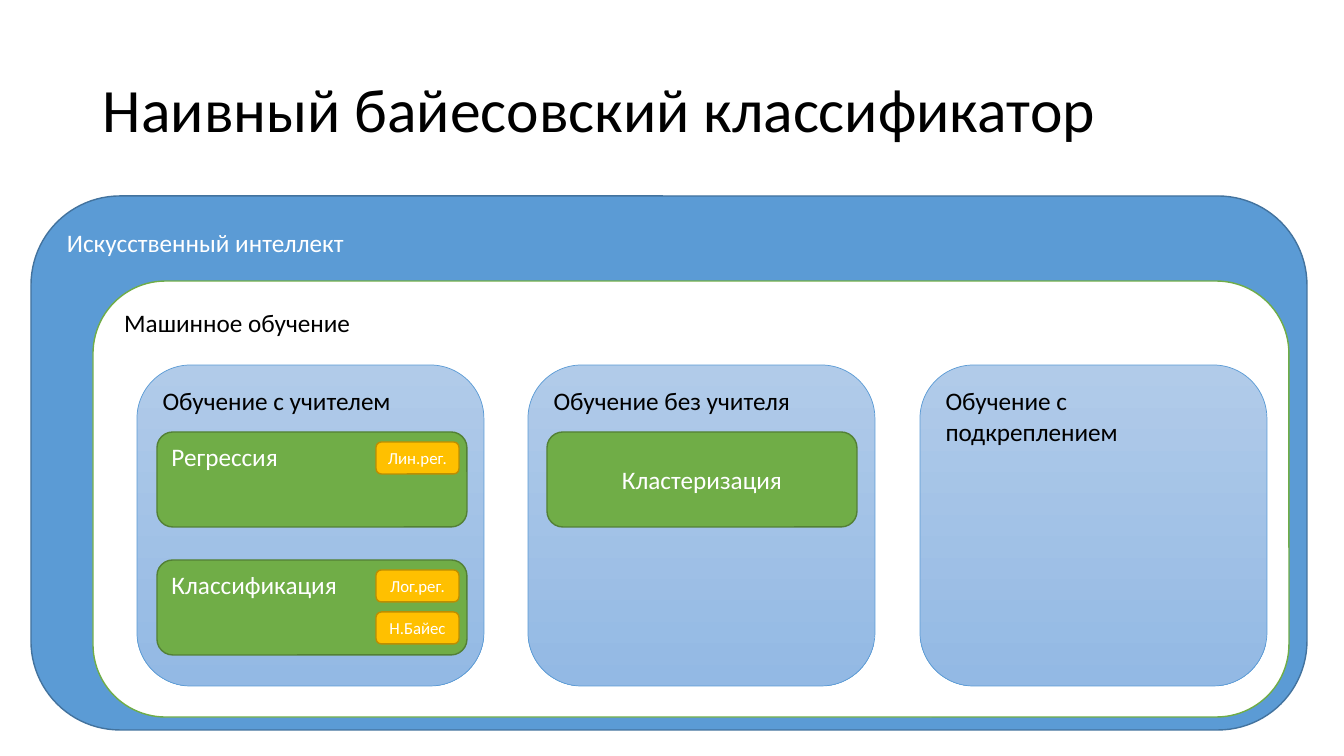
from pptx import Presentation
from pptx.dml.color import RGBColor
from pptx.enum.shapes import MSO_SHAPE
from pptx.enum.text import MSO_ANCHOR, PP_ALIGN
from pptx.util import Pt

ROUNDED = MSO_SHAPE.ROUNDED_RECTANGLE
TOP, MIDDLE = MSO_ANCHOR.TOP, MSO_ANCHOR.MIDDLE
LEFT, CENTER = PP_ALIGN.LEFT, PP_ALIGN.CENTER

BLACK = RGBColor(0x00, 0x00, 0x00)
WHITE = RGBColor(0xFF, 0xFF, 0xFF)
BLUE = RGBColor(0x5B, 0x9B, 0xD5)
DARK_BLUE = RGBColor(0x43, 0x73, 0x9E)
GREEN = RGBColor(0x70, 0xAD, 0x47)
DARK_GREEN = RGBColor(0x53, 0x80, 0x35)
AMBER = RGBColor(0xFF, 0xC0, 0x00)
DARK_AMBER = RGBColor(0xBD, 0x8E, 0x00)
SKY = (RGBColor(0xB1, 0xCB, 0xE9), RGBColor(0x93, 0xB9, 0xE4))

WIDTH, HEIGHT = 1344, 756
EMU_PER_PX = 12192000 / WIDTH


def px(n):
    return round(n * EMU_PER_PX)


class Board:
    font = "Calibri"

    def __init__(self, slide):
        self.slide = slide

    def set_text(self, s, text, size, color, align, anchor):
        tf = s.text_frame
        tf.word_wrap = True
        tf.vertical_anchor = anchor
        tf.text = text
        p = tf.paragraphs[0]
        p.alignment = align
        font = p.runs[0].font
        font.name, font.size = self.font, Pt(size)
        font.color.rgb = color
        return p

    def title(self, text, x, y, w, h):
        s = self.slide.shapes.add_textbox(px(x), px(y), px(w), px(h))
        p = self.set_text(s, text, 44, BLACK, LEFT, MIDDLE)
        p.line_spacing = 0.9

    def box(self, text, x, y, w, h, fill, line, color=WHITE, size=18,
            line_width=1, centered=False):
        """Draw a rounded box; a pair of fill colours runs from top to bottom."""
        s = self.slide.shapes.add_shape(ROUNDED, px(x), px(y), px(w), px(h))
        s.shadow.inherit = False
        if isinstance(fill, RGBColor):
            s.fill.solid()
            s.fill.fore_color.rgb = fill
        else:
            s.fill.gradient()
            s.fill.gradient_angle = 270
            for stop, shade, position in zip(s.fill.gradient_stops, fill, (0, 1)):
                stop.color.rgb = shade
                stop.position = position
        s.line.color.rgb = line
        s.line.width = Pt(line_width)
        align, anchor = (CENTER, MIDDLE) if centered else (LEFT, TOP)
        self.set_text(s, text, size, color, align, anchor)

    def column(self, text, x):
        self.box(text, x, 365, 347, 321, SKY, BLUE, BLACK, line_width=0.5)

    def task(self, text, x, y, centered=False):
        self.box(text, x, y, 310, 95, GREEN, DARK_GREEN, centered=centered)

    def method(self, text, y):
        self.box(text, 376, y, 83, 32, AMBER, DARK_AMBER, size=12, centered=True)


def main():
    prs = Presentation()
    prs.slide_width, prs.slide_height = px(WIDTH), px(HEIGHT)
    board = Board(prs.slides.add_slide(prs.slide_layouts[6]))

    board.title("Наивный байесовский классификатор", 93, 40, 1159, 146)
    board.box("Искусственный интеллект", 31, 196, 1276, 534, BLUE, DARK_BLUE)
    board.box("Машинное обучение", 93, 281, 1196, 436, WHITE, GREEN, BLACK)

    columns = ("Обучение с учителем", "Обучение без учителя",
               "Обучение с подкреплением")
    for i, text in enumerate(columns):
        board.column(text, 137 + i * 783 // 2)

    task_top, task_step = 432, 128
    tasks = (("Регрессия", ("Лин.рег.",)),
             ("Классификация", ("Лог.рег.", "Н.Байес")))
    for i, (task, methods) in enumerate(tasks):
        y = task_top + i * task_step
        board.task(task, 157, y)
        for j, method in enumerate(methods):
            board.method(method, y + 10 + j * 42)
    board.task("Кластеризация", 547, task_top, centered=True)

    prs.save("out.pptx")


if __name__ == "__main__":
    main()
